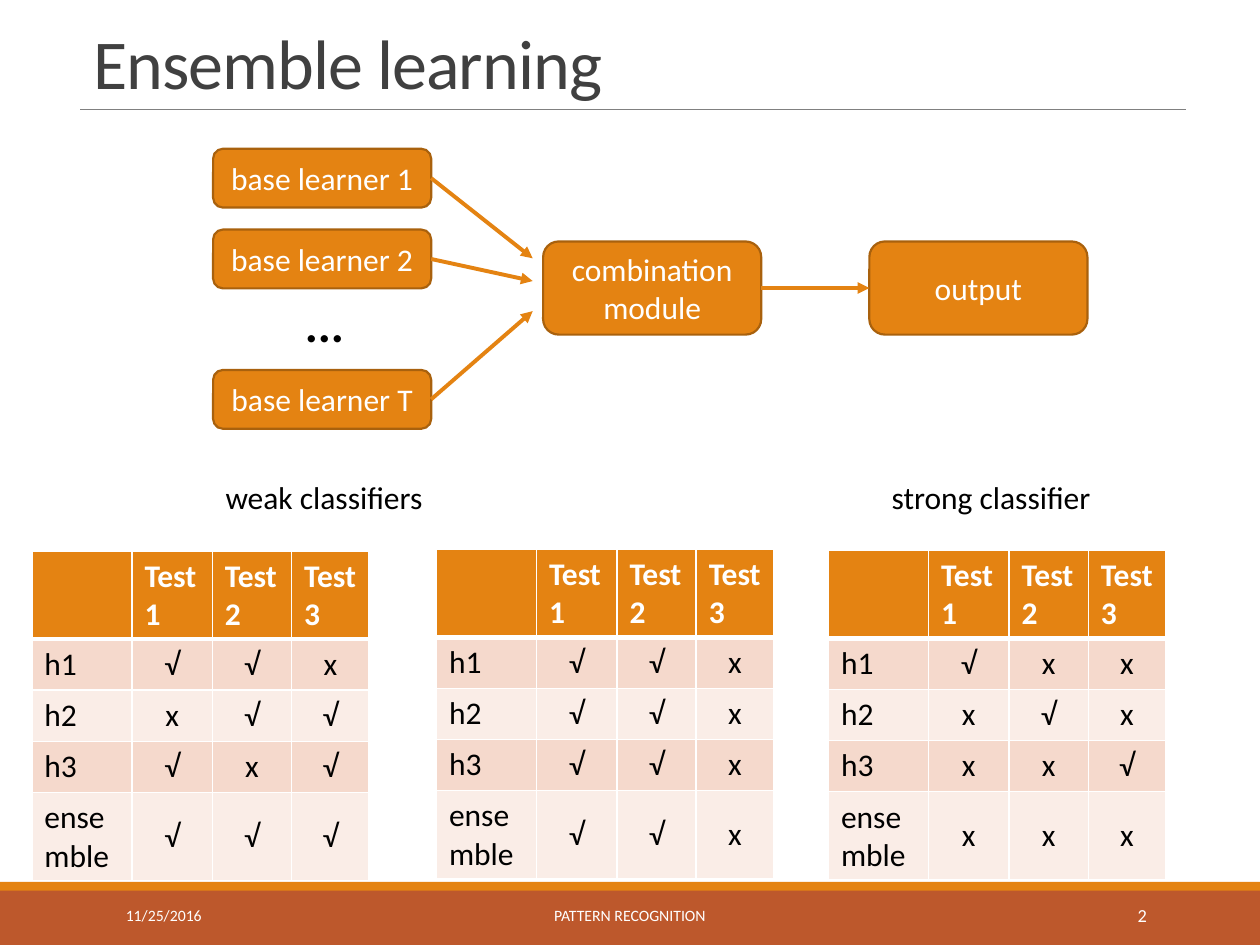
from lxml.etree import SubElement
from pptx import Presentation
from pptx.dml.color import RGBColor
from pptx.enum.shapes import MSO_CONNECTOR, MSO_SHAPE
from pptx.enum.text import MSO_ANCHOR, MSO_AUTO_SIZE, PP_ALIGN
from pptx.oxml.ns import qn
from pptx.util import Pt

ORANGE, RUST, BROWN = "E48312", "BD582C", "A9610D"
WHITE, BLACK, GRAY, CHARCOAL = "FFFFFF", "000000", "808080", "404040"
BANDS = ("F5D9CC", "FAEDE7")
LEFT, CENTER, RIGHT = PP_ALIGN.LEFT, PP_ALIGN.CENTER, PP_ALIGN.RIGHT
COLUMN_WIDTHS = (57.2, 46, 45.3, 44.3)
ROW_HEIGHT = 29.2
HEADER = ("", "Test 1", "Test 2", "Test 3")
ROW_NAMES = ("h1", "h2", "h3", "ensemble")


def color(value):
    """Turn a hex string into a colour."""
    return RGBColor.from_string(value)


def points(*values):
    """Turn numbers into lengths in points."""
    return [Pt(value) for value in values]


def apply_format(target, values):
    """Set every attribute named in a dict of format values."""
    for name, value in values.items():
        setattr(target, name, value)


def write_text(frame, text, size=18, ink=BLACK, bold=False, align=LEFT):
    """Write text into a frame with one style for all paragraphs."""
    frame.text = text
    for para in frame.paragraphs:
        para.alignment = align
        for span in para.runs:
            apply_format(span.font, {"name": "Calibri", "size": Pt(size), "bold": bold})
            span.font.color.rgb = color(ink)


def add_title(page, text):
    """Fill and place the title placeholder."""
    title = page.shapes.title
    left, top, width, height = points(46, 9.4, 631.4, 53.3)
    apply_format(title, {"left": left, "top": top, "width": width, "height": height})
    apply_format(title.text_frame, {"auto_size": MSO_AUTO_SIZE.NONE,
                                    "vertical_anchor": MSO_ANCHOR.BOTTOM,
                                    "word_wrap": True})
    write_text(title.text_frame, text, 40, CHARCOAL)
    para = title.text_frame.paragraphs[0]
    para.line_spacing = 0.85
    para.runs[0].font._element.set("spc", "-50")


def add_block(page, kind, place, fill, outline=None, text=""):
    """Add a filled shape, with an outline and centred text if given."""
    block = page.shapes.add_shape(kind, *points(*place))
    block.shadow.inherit = False
    block.fill.solid()
    block.fill.fore_color.rgb = color(fill)
    if outline:
        block.line.color.rgb = color(outline)
        block.line.width = Pt(1.25)
    else:
        block.line.fill.background()
    if text:
        block.text_frame.vertical_anchor = MSO_ANCHOR.MIDDLE
        write_text(block.text_frame, text, ink=WHITE, align=CENTER)


def add_label(page, place, text, anchor=MSO_ANCHOR.TOP, **style):
    """Add a wrapping text box."""
    box = page.shapes.add_textbox(*points(*place))
    apply_format(box.text_frame, {"word_wrap": True, "vertical_anchor": anchor})
    write_text(box.text_frame, text, **style)


def add_line(page, ends, ink, width, arrow=False):
    """Add a straight line, with an arrowhead at its end if wanted."""
    line = page.shapes.add_connector(MSO_CONNECTOR.STRAIGHT, *points(*ends))
    line.line.color.rgb = color(ink)
    line.line.width = Pt(width)
    if arrow:
        SubElement(line.line._get_or_add_ln(), qn("a:tailEnd"), type="triangle")
    SubElement(line._element.spPr, qn("a:effectLst"))


def add_borders(cell, bottom):
    """Give a cell white borders, with its own width at the bottom."""
    properties = cell._tc.get_or_add_tcPr()
    for side, width in (("L", 1), ("R", 1), ("T", 1), ("B", bottom)):
        border = SubElement(properties, qn(f"a:ln{side}"), w=str(Pt(width)))
        fill = SubElement(border, qn("a:solidFill"))
        SubElement(fill, qn("a:srgbClr"), val=WHITE)


def add_results(page, left, top, marks):
    """Add a table of test results from one string of marks per row."""
    rows = [HEADER] + [(name, *row) for name, row in zip(ROW_NAMES, marks)]
    place = points(left, top, sum(COLUMN_WIDTHS), ROW_HEIGHT * len(rows))
    table = page.shapes.add_table(len(rows), len(HEADER), *place).table
    for column, width in zip(table.columns, COLUMN_WIDTHS):
        column.width = Pt(width)
    for number, row in enumerate(rows):
        table.rows[number].height = Pt(ROW_HEIGHT)
        is_header = number == 0
        for index, text in enumerate(row):
            cell = table.cell(number, index)
            is_mark = index > 0 and not is_header
            add_borders(cell, 3 if is_header else 1)
            cell.fill.solid()
            cell.fill.fore_color.rgb = color(ORANGE if is_header else BANDS[(number - 1) % 2])
            cell.vertical_anchor = MSO_ANCHOR.MIDDLE if is_mark else MSO_ANCHOR.TOP
            write_text(cell.text_frame, text, ink=WHITE if is_header else BLACK,
                       bold=is_header, align=CENTER if is_mark else LEFT)


def add_diagram(page):
    """Draw the learners, the combination module and the output."""
    learners = (("1", 85, 147.6), ("2", 131.2, 160.6), ("T", 211.4, 177.8))
    for name, top, target in learners:
        add_block(page, MSO_SHAPE.ROUNDED_RECTANGLE, (121.8, top, 124.6, 33.6),
                  ORANGE, BROWN, f"base learner {name}")
        add_line(page, (246.4, top + 16.8, 304.4, target), ORANGE, 2.25, arrow=True)
    add_label(page, (153.4, 164.2, 64, 41), "...", size=28, bold=True, align=CENTER)
    for left, text in ((310.4, "combination\nmodule"), (496.8, "output")):
        add_block(page, MSO_SHAPE.ROUNDED_RECTANGLE, (left, 138, 124.6, 53.2),
                  ORANGE, BROWN, text)
    add_line(page, (435, 164.6, 496.8, 164.6), ORANGE, 2.25, arrow=True)
    for left, text in ((121.8, "weak classifiers"), (502.4, "strong classifier")):
        add_label(page, (left, 269.4, 134.6, 29), text)


def add_footer(page):
    """Write the date, course name and page number."""
    footers = ((64.8, 146.2, "11/25/2016", 9, LEFT),
               (217.4, 285, "PATTERN RECOGNITION", 9, CENTER),
               (584.6, 77.8, "2", 10.5, RIGHT))
    for left, width, text, size, align in footers:
        add_label(page, (left, 508.6, width, 28.8), text, MSO_ANCHOR.MIDDLE,
                  size=size, ink=WHITE, align=align)


def main():
    """Build the slide and save it."""
    deck = Presentation()
    deck.slide_width, deck.slide_height = points(720, 540)
    page = deck.slides.add_slide(deck.slide_layouts[5])
    add_block(page, MSO_SHAPE.RECTANGLE, (0, 508.4, 720, 31.6), RUST)
    add_block(page, MSO_SHAPE.RECTANGLE, (0, 504, 720, 5), ORANGE)
    add_line(page, (46, 62.6, 677.6, 62.6), GRAY, 0.5)
    add_title(page, "Ensemble learning")
    add_diagram(page)
    add_results(page, 18.2, 314.8, ("√√x", "x√√", "√x√", "√√√"))
    add_results(page, 249.4, 313.7, ("√√x", "√√x", "√√x", "√√x"))
    add_results(page, 473.4, 314.4, ("√xx", "x√x", "xx√", "xxx"))
    add_footer(page)
    deck.save("out.pptx")


if __name__ == "__main__":
    main()
